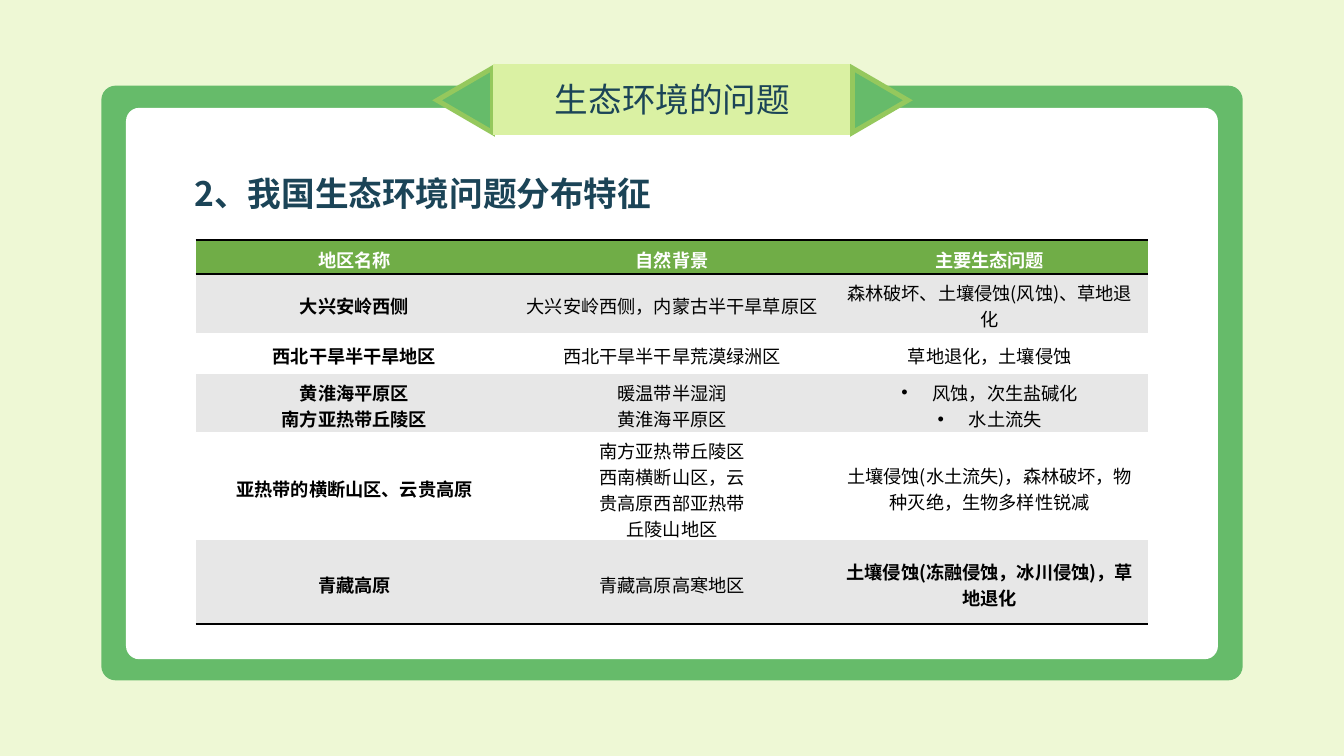
from lxml.etree import SubElement
from pptx import Presentation
from pptx.dml.color import RGBColor
from pptx.enum.shapes import MSO_SHAPE
from pptx.enum.text import MSO_ANCHOR, MSO_AUTO_SIZE, PP_ALIGN
from pptx.oxml import parse_xml
from pptx.oxml.ns import nsdecls, qn
from pptx.util import Inches, Pt

TITLE = "生态环境的问题"
HEADING = "2、我国生态环境问题分布特征"
# Each cell is a list of lines; a leading bullet makes a list item
ROWS = [
    (["地区名称"], ["自然背景"], ["主要生态问题"]),
    (["大兴安岭西侧"], ["大兴安岭西侧，内蒙古半干旱草原区"],
     ["森林破坏、土壤侵蚀(风蚀)、草地退化"]),
    (["西北干旱半干旱地区"], ["西北干旱半干旱荒漠绿洲区"], ["草地退化，土壤侵蚀"]),
    (["黄淮海平原区", "南方亚热带丘陵区"], ["暖温带半湿润", "黄淮海平原区"],
     ["•风蚀，次生盐碱化", "•水土流失"]),
    (["亚热带的横断山区、云贵高原"],
     ["南方亚热带丘陵区", "西南横断山区，云", "贵高原西部亚热带", "丘陵山地区"],
     ["土壤侵蚀(水土流失)，森林破坏，物", "种灭绝，生物多样性锐减"]),
    (["青藏高原"], ["青藏高原高寒地区"],
     ["土壤侵蚀(冻融侵蚀，冰川侵蚀)，草", "地退化"]),
]
ROW_HEIGHTS = [0.34, 0.58, 0.41, 0.58, 1.07, 0.83]
COL_WIDTH = 3.15
LAST = len(ROWS) - 1
BOLD_CELLS = {(0, 1), (0, 2), (LAST, 2)}  # besides the first column

FONT = "Noto Sans CJK SC"
INK, GREEN, LIME, LEAF = "1B4457", "66BB6A", "DAF1A3", "95C85D"
HEADER, BAND, WHITE, BLACK = "70AD47", "E7E7E7", "FFFFFF", "000000"
NO_STYLE = "{2D5ABB26-0587-4C30-8999-92F81FD0307C}"


def rgb(value):
    return RGBColor.from_string(value)


def add_run(p, text, size, color, bold=False):
    r = p.add_run()
    r.text = text
    r.font.name, r.font.size, r.font.bold = FONT, Pt(size), bold
    r.font.color.rgb = rgb(color)
    SubElement(r.font._element, qn("a:ea"), typeface=FONT)


def add_block(kind, x, y, w, h, fill, line=None, width=0):
    sp = s.shapes.add_shape(kind, Inches(x), Inches(y), Inches(w), Inches(h))
    sp.shadow.inherit = False
    sp.fill.solid()
    sp.fill.fore_color.rgb = rgb(fill)
    if line:
        sp.line.color.rgb = rgb(line)
        sp.line.width = Pt(width)
        SubElement(sp.line._get_or_add_ln(), qn("a:miter"), lim="800000")
    else:
        sp.line.fill.background()
    return sp


def add_border(cell, side):
    cell._tc.get_or_add_tcPr().insert(0, parse_xml(
        f'<a:{side} {nsdecls("a")} w="{Pt(2)}"><a:solidFill>'
        f'<a:srgbClr val="{BLACK}"/></a:solidFill></a:{side}>'))


def add_bullet(p):
    pPr = p._p.get_or_add_pPr()
    pPr.set("marL", str(Inches(0.31)))
    pPr.set("indent", str(Inches(-0.31)))
    SubElement(pPr, qn("a:buFont"), typeface="Arial")
    SubElement(pPr, qn("a:buChar"), char="•")


prs = Presentation()
prs.slide_width, prs.slide_height = Inches(13.33), Inches(7.5)
s = prs.slides.add_slide(prs.slide_layouts[5])
s.background.fill.solid()
s.background.fill.fore_color.rgb = rgb("EEF8D5")

# Board: green frame and white panel, centred across the slide
for y, w, h, fill in [(0.85, 11.32, 5.9, GREEN), (1.07, 10.83, 5.47, WHITE)]:
    board = add_block(MSO_SHAPE.ROUNDED_RECTANGLE, (13.33 - w) / 2, y, w, h, fill)
    board.adjustments[0] = 0.024

# Ribbon: a band between two triangles
TRIANGLE = MSO_SHAPE.ISOSCELES_TRIANGLE
add_block(TRIANGLE, 4.29, 0.72, 0.64, 0.55, GREEN, LEAF, 3.5).rotation = 270
add_block(MSO_SHAPE.RECTANGLE, 4.92, 0.67, 3.49, 0.64, LIME, LIME, 5)
add_block(TRIANGLE, 8.41, 0.72, 0.64, 0.55, GREEN, LEAF, 3.5).rotation = 90

# Title, brought in front of the ribbon
title = s.shapes.title
title.left, title.top = Inches(4.97), Inches(0.73)
title.width, title.height = Inches(3.4), Inches(0.5)
title.text_frame.auto_size = MSO_AUTO_SIZE.NONE
title.text_frame.vertical_anchor = MSO_ANCHOR.MIDDLE
p = title.text_frame.paragraphs[0]
p.alignment = PP_ALIGN.CENTER
add_run(p, TITLE, 24, INK)
s.shapes._spTree.append(title._element)

# Heading
box = s.shapes.add_textbox(Inches(1.83), Inches(1.67), Inches(4.89), Inches(0.5))
box.text_frame.word_wrap = True
add_run(box.text_frame.paragraphs[0], HEADING, 24, INK, True)

# Table
frame = s.shapes.add_table(len(ROWS), 3, Inches(1.94), Inches(2.38),
                           Inches(3 * COL_WIDTH), Inches(sum(ROW_HEIGHTS)))
table = frame.table
table._tbl.tblPr.find(qn("a:tableStyleId")).text = NO_STYLE
table.horz_banding = False
for col in table.columns:
    col.width = Inches(COL_WIDTH)
for i, (row, height) in enumerate(zip(ROWS, ROW_HEIGHTS)):
    table.rows[i].height = Inches(height)
    for j, lines in enumerate(row):
        cell = table.cell(i, j)
        cell.vertical_anchor = MSO_ANCHOR.MIDDLE
        cell.margin_top, cell.margin_bottom = Inches(0.05), 0
        cell.fill.solid()
        cell.fill.fore_color.rgb = rgb(HEADER if i == 0 else BAND if i % 2 else WHITE)
        tf = cell.text_frame
        for n, line in enumerate(lines):
            p = tf.add_paragraph() if n else tf.paragraphs[0]
            p.alignment = PP_ALIGN.CENTER
            if line.startswith("•"):
                add_bullet(p)
            add_run(p, line.lstrip("•"), 13, BLACK if i else WHITE,
                    j == 0 or (i, j) in BOLD_CELLS)
        if i in (0, LAST):
            add_border(cell, "lnB")
        if i == 0:
            add_border(cell, "lnT")

prs.save("out.pptx")
